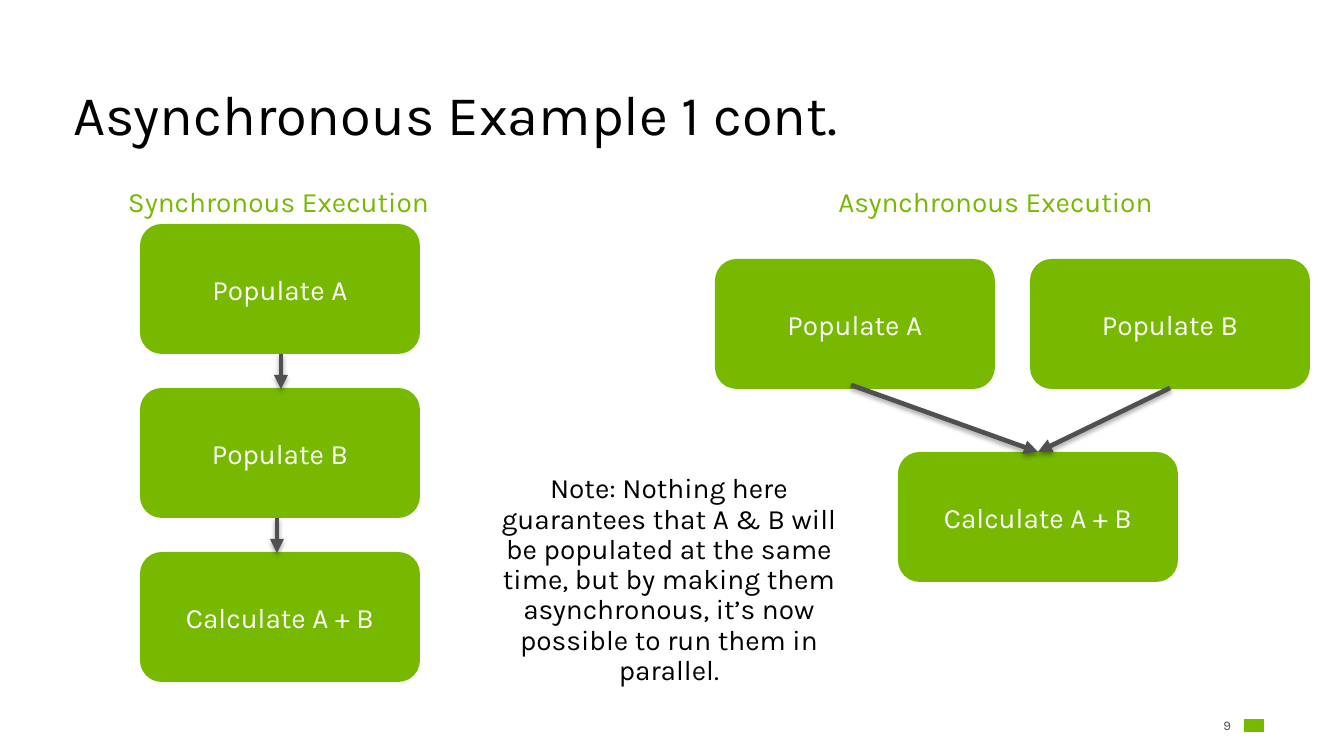
from dataclasses import dataclass

from lxml import etree
from pptx import Presentation
from pptx import util as u
from pptx.dml.color import RGBColor
from pptx.enum import shapes, text
from pptx.oxml import parse_xml
from pptx.oxml.ns import nsdecls, qn

PX = 914400 / 112  # EMU in one px


@dataclass(frozen=True)
class Theme:
    font: str = "Karla"
    green: str = "76B900"
    gray: str = "505050"
    black: str = "000000"
    white: str = "FFFFFF"
    title: float = 36
    body: float = 18
    number: float = 8.5
    arrow: float = 3


def emu(*lengths):
    return [u.Emu(round(length * PX)) for length in lengths]


class Builder:
    def __init__(self, page, theme):
        self.page = page
        self.theme = theme

    def set_text(self, shape, words, size, color, align=text.PP_ALIGN.CENTER,
                 anchor=text.MSO_ANCHOR.MIDDLE, spacing=None):
        frame = shape.text_frame
        frame.auto_size = text.MSO_AUTO_SIZE.NONE
        frame.word_wrap = True
        frame.vertical_anchor = anchor
        para = frame.paragraphs[0]
        para.text = words
        para.alignment = align
        para.line_spacing = spacing
        para.font.name = self.theme.font
        para.font.size = u.Pt(size)
        para.font.color.rgb = RGBColor.from_string(color)

    def title(self, words, *place):
        title = self.page.shapes.title
        title.left, title.top, title.width, title.height = emu(*place)
        self.set_text(title, words, self.theme.title, self.theme.black,
                      text.PP_ALIGN.LEFT, text.MSO_ANCHOR.BOTTOM, 0.9)

    def label(self, words, color, *place):
        box = self.page.shapes.add_textbox(*emu(*place))
        self.set_text(box, words, self.theme.body, color, spacing=0.9)

    def page_number(self, number, *place):
        box = self.page.shapes.add_textbox(*emu(*place))
        frame = box.text_frame
        frame.margin_left = frame.margin_right = 0
        frame.margin_top = frame.margin_bottom = 0
        self.set_text(box, number, self.theme.number, self.theme.gray,
                      text.PP_ALIGN.RIGHT)

    def block(self, kind, *place):
        shape = self.page.shapes.add_shape(kind, *emu(*place))
        shape.shadow.inherit = False
        shape.fill.solid()
        shape.fill.fore_color.rgb = RGBColor.from_string(self.theme.green)
        shape.line.fill.background()
        return shape

    def step(self, words, left, top):
        shape = self.block(shapes.MSO_SHAPE.ROUNDED_RECTANGLE,
                           left, top, 280, 130)
        self.set_text(shape, words, self.theme.body, self.theme.white)

    def arrow(self, *ends):
        """Draw a softly shadowed arrow from x, y to x, y."""
        arrow = self.page.shapes.add_connector(
            shapes.MSO_CONNECTOR.STRAIGHT, *emu(*ends))
        arrow.line.color.rgb = RGBColor.from_string(self.theme.gray)
        arrow.line.width = u.Pt(self.theme.arrow)
        etree.SubElement(arrow.get_or_add_ln(), qn("a:tailEnd"),
                         type="triangle")
        arrow.element.spPr.append(parse_xml(
            f'<a:effectLst {nsdecls("a")}>'
            '<a:outerShdw blurRad="39370" dist="22860" dir="5400000" '
            f'rotWithShape="0"><a:srgbClr val="{self.theme.black}">'
            '<a:alpha val="35000"/></a:srgbClr></a:outerShdw>'
            '</a:effectLst>'))


def main():
    deck = Presentation()
    deck.slide_width, deck.slide_height = emu(1344, 756)
    theme = Theme()
    page = deck.slides.add_slide(deck.slide_layouts[5])
    builder = Builder(page, theme)

    builder.title("Asynchronous Example 1 cont.", 62, 77, 1222, 76)
    builder.page_number("9", 1196, 715, 35, 20)
    builder.block(shapes.MSO_SHAPE.RECTANGLE, 1244, 719, 20, 13)

    tasks = ("Populate A", "Populate B", "Calculate A + B")
    for row, task in enumerate(tasks):
        builder.step(task, 140, 224 + 164 * row)
    for task, (left, top) in zip(tasks, ((715, 259), (1030, 259), (898, 452))):
        builder.step(task, left, top)

    for mode, left in (("Synchronous", 74), ("Asynchronous", 791)):
        builder.label(f"{mode} Execution", theme.green, left, 183, 409, 41)

    for ends in ((281, 354, 281, 389), (277, 518, 277, 553),
                 (851, 385, 1038, 452), (1170, 388, 1038, 452)):
        builder.arrow(*ends)

    builder.label(
        "Note: Nothing here guarantees that A & B will be populated at the "
        "same time, but by making them asynchronous, it’s now possible to "
        "run them in parallel.", theme.black, 483, 468, 372, 225)

    deck.save("out.pptx")


if __name__ == "__main__":
    main()
